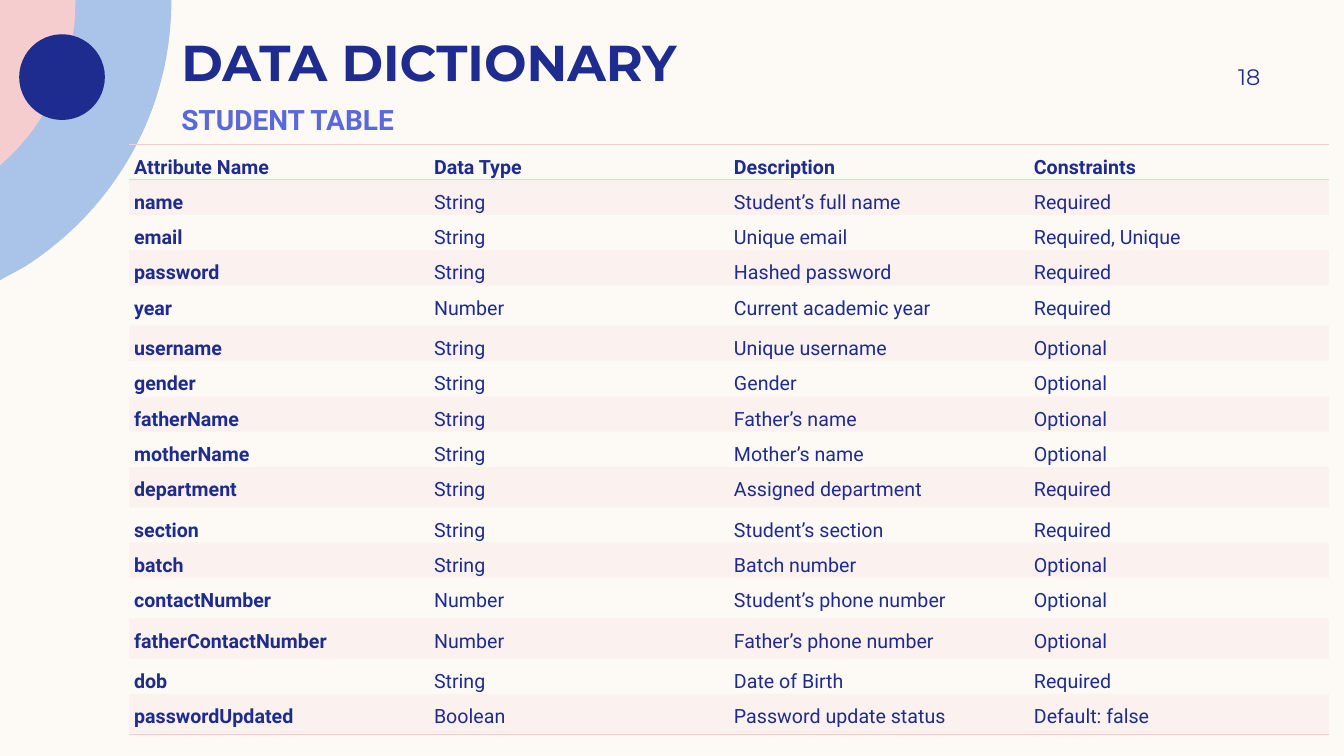
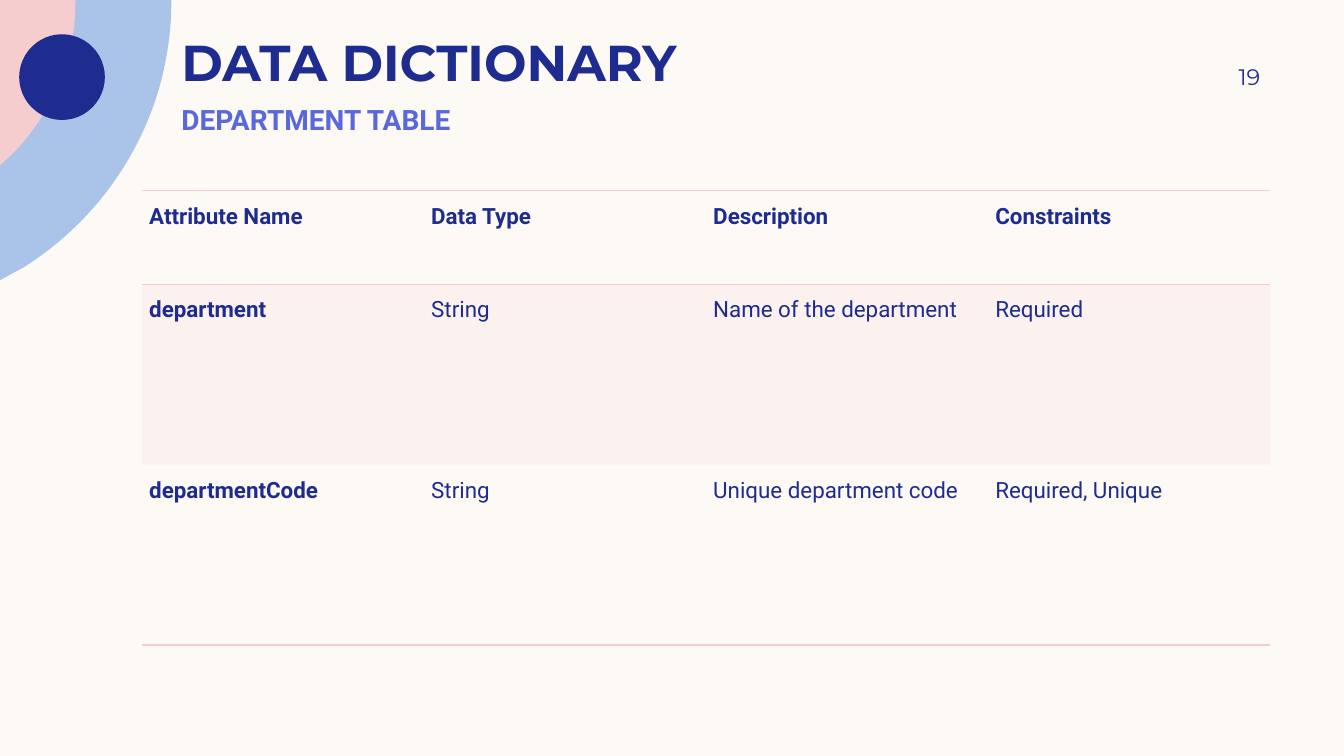
from lxml import etree
from pptx import Presentation
from pptx import util as u
from pptx.dml import color
from pptx.enum import shapes, text
from pptx.oxml import ns

PX = 9144
CREAM, NAVY, VIOLET = "FDFAF6", "1F2C8F", "5968DB"
BLUE, PINK = "AAC3E8", "F5CDCE"
NO_STYLE = "{2D5ABB26-0587-4C30-8999-92F81FD0307C}"

HEADER = ("Attribute Name", "Data Type", "Description", "Constraints")
STUDENT_ROWS = [
    ("name", "String", "Student’s full name", "Required"),
    ("email", "String", "Unique email", "Required, Unique"),
    ("password", "String", "Hashed password", "Required"),
    ("year", "Number", "Current academic year", "Required"),
    ("username", "String", "Unique username", "Optional"),
    ("gender", "String", "Gender", "Optional"),
    ("fatherName", "String", "Father’s name", "Optional"),
    ("motherName", "String", "Mother’s name", "Optional"),
    ("department", "String", "Assigned department", "Required"),
    ("section", "String", "Student’s section", "Required"),
    ("batch", "String", "Batch number", "Optional"),
    ("contactNumber", "Number", "Student’s phone number", "Optional"),
    ("fatherContactNumber", "Number", "Father’s phone number", "Optional"),
    ("dob", "String", "Date of Birth", "Required"),
    ("passwordUpdated", "Boolean", "Password update status", "Default: false"),
]
DEPARTMENT_ROWS = [
    ("department", "String", "Name of the department", "Required"),
    ("departmentCode", "String", "Unique department code", "Required, Unique"),
]
TALL_ROWS = (4, 9, 12, 13, 15)
STUDENT_HEIGHTS = [40 if row in TALL_ROWS else 34 for row in range(16)]
DEPARTMENT_HEIGHTS = [93, 179, 179]

PAGES = [
    ("STUDENT TABLE", "18", STUDENT_ROWS, STUDENT_HEIGHTS, (128, 143, 1190), 14, 5),
    ("DEPARTMENT TABLE", "19", DEPARTMENT_ROWS, DEPARTMENT_HEIGHTS, (141, 189, 1119), 16, 7),
]
ARCS = [
    (BLUE, [(0, 0), (170, 0)], [(170, 1), (170, 112), (112, 209), (24, 265)], (0, 278)),
    (PINK, [(0, 0), (75, 0)], [(74, 22), (68, 73), (46, 119), (11, 154)], (0, 164)),
]
CURVE_STEPS = 40


def rgb(value):
    return color.RGBColor.from_string(value)


def style(paragraph, font_name, size, hex_color, bold):
    for run in paragraph.runs:
        run.font.name = font_name
        run.font.size = u.Pt(size)
        run.font.bold = bold
        run.font.color.rgb = rgb(hex_color)


presentation = Presentation()
presentation.slide_width = 1333 * PX
presentation.slide_height = 750 * PX
background = presentation.slide_master.background.fill
background.solid()
background.fore_color.rgb = rgb(CREAM)

for subtitle, number, rows, heights, place, size, margin in PAGES:
    slide = presentation.slides.add_slide(presentation.slide_layouts[6])

    decorations = []
    for fill, start, controls, end in ARCS:
        points = list(start)
        for step in range(CURVE_STEPS + 1):
            t = step / CURVE_STEPS
            weights = ((1 - t) ** 3, 3 * t * (1 - t) ** 2, 3 * t * t * (1 - t), t ** 3)
            points.append([sum(w * c for w, c in zip(weights, axis)) for axis in zip(*controls)])
        points.append(end)
        outline = slide.shapes.build_freeform(0, 0)
        outline.add_line_segments([(x * PX, y * PX) for x, y in points[1:]])
        decorations.append((outline.convert_to_shape(), fill))
    dot = slide.shapes.add_shape(shapes.MSO_SHAPE.OVAL, 19 * PX, 34 * PX, 85 * PX, 85 * PX)
    decorations.append((dot, NAVY))
    for shape, fill in decorations:
        shape.shadow.inherit = False
        shape.fill.solid()
        shape.fill.fore_color.rgb = rgb(fill)
        shape.line.fill.background()

    for words, box, insets, anchor, align, look in (
        ("DATA DICTIONARY", (170, 6, 589, 85), (10, 0, 10, 0), text.MSO_ANCHOR.BOTTOM,
         text.PP_ALIGN.LEFT, ("Montserrat", 36, NAVY, True)),
        (subtitle, (170, 102, 463, 42), (10, 0, 10, 0), text.MSO_ANCHOR.TOP,
         text.PP_ALIGN.LEFT, ("Roboto", 20, VIOLET, True)),
        (number, (1133, 50, 117, 52), (10, 5, 0, 5), text.MSO_ANCHOR.MIDDLE,
         text.PP_ALIGN.RIGHT, ("Montserrat", 16, NAVY, False)),
    ):
        frame = slide.shapes.add_textbox(*[length * PX for length in box]).text_frame
        frame.word_wrap = True
        frame.vertical_anchor = anchor
        frame.margin_left, frame.margin_top, frame.margin_right, frame.margin_bottom = [
            inset * PX for inset in insets]
        frame.text = words
        frame.paragraphs[0].alignment = align
        style(frame.paragraphs[0], *look)

    left, top, width = [length * PX for length in place]
    table_frame = slide.shapes.add_table(
        len(heights), len(HEADER), left, top, width, sum(heights) * PX)
    for style_id in table_frame.element.iter(ns.qn("a:tableStyleId")):
        style_id.text = NO_STYLE
    table = table_frame.table
    table.first_row = False
    table.horz_banding = False

    for row_index, (labels, height) in enumerate(zip([HEADER, *rows], heights)):
        table.rows[row_index].height = height * PX
        sides = []
        if row_index in (0, len(rows)):
            sides.append("a:lnB")
        if row_index == 0:
            sides.append("a:lnT")
        for column_index, label in enumerate(labels):
            cell = table.cell(row_index, column_index)
            cell.margin_left = cell.margin_right = margin * PX
            cell.margin_top = cell.margin_bottom = 0
            cell.text_frame.text = label
            paragraph = cell.text_frame.paragraphs[0]
            paragraph.alignment = text.PP_ALIGN.JUSTIFY
            paragraph.line_spacing = 1.5
            paragraph.space_after = u.Pt(8)
            style(paragraph, "Roboto", size, NAVY, row_index == 0 or column_index == 0)

            properties = cell._tc.get_or_add_tcPr()
            if row_index % 2:
                cell.fill.solid()
                cell.fill.fore_color.rgb = rgb(PINK)
                for tint in properties.iter(ns.qn("a:srgbClr")):
                    etree.SubElement(tint, ns.qn("a:alpha"), val="20000")
            else:
                cell.fill.background()
            for side in sides:
                border = etree.Element(ns.qn(side), w=str(u.Pt(1)))
                solid = etree.SubElement(border, ns.qn("a:solidFill"))
                etree.SubElement(solid, ns.qn("a:srgbClr"), val=PINK)
                properties.insert(0, border)

presentation.save("out.pptx")
